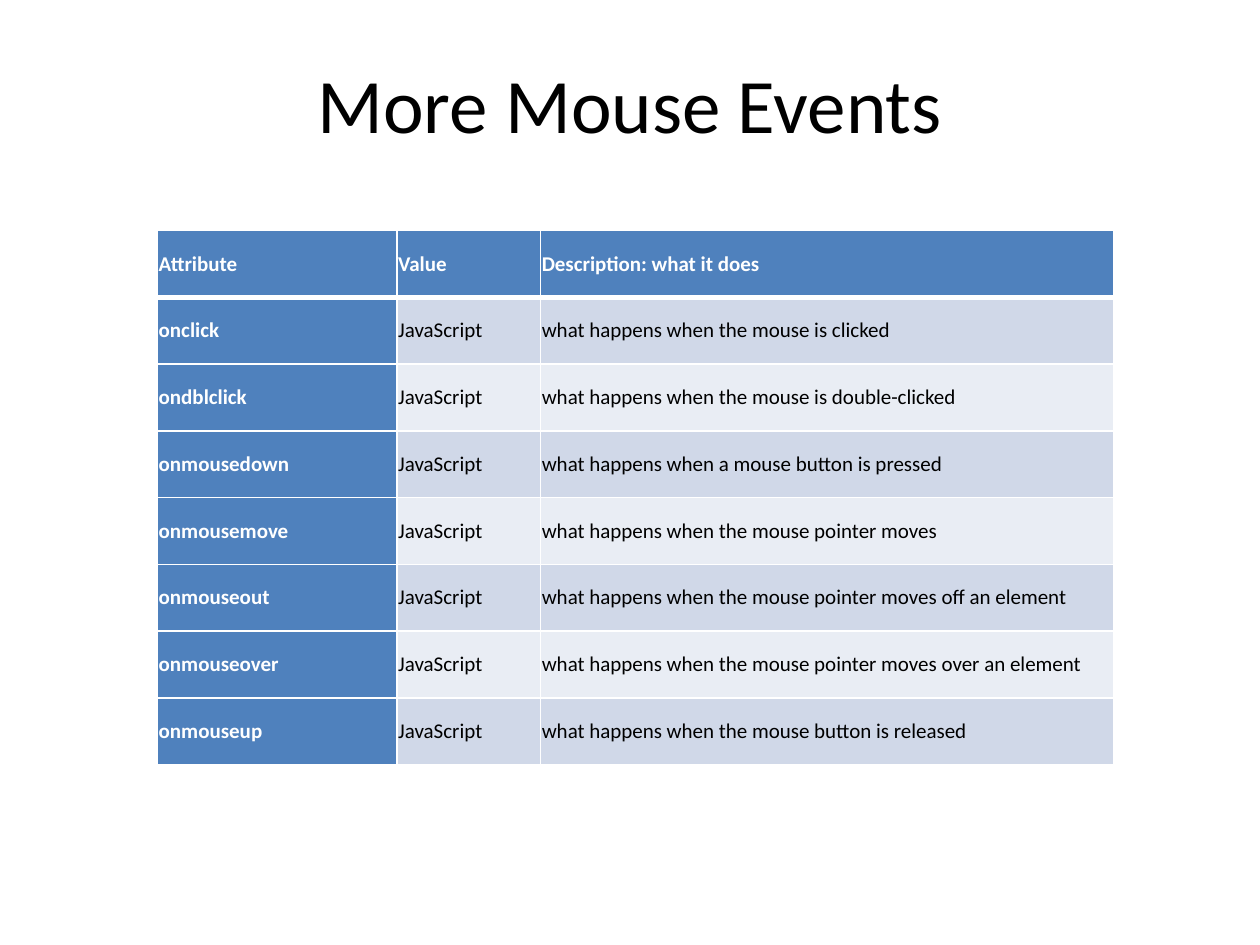
from lxml import etree
from pptx import Presentation
from pptx.dml.color import RGBColor
from pptx.enum import text
from pptx.oxml import ns
from pptx.util import Inches, Pt

FONT = "Calibri"
BLUE, WHITE, BLACK = "4F81BD", "FFFFFF", "000000"
BANDS = ["D0D8E8", "E9EDF4"]
COL_WIDTHS = [1.9, 1.14, 4.55]
ROW_HEIGHT = 0.53
HEADER = ["Attribute", "Value", "Description: what it does"]
EVENTS = [
    ("onclick", "the mouse is clicked"),
    ("ondblclick", "the mouse is double-clicked"),
    ("onmousedown", "a mouse button is pressed"),
    ("onmousemove", "the mouse pointer moves"),
    ("onmouseout", "the mouse pointer moves off an element"),
    ("onmouseover", "the mouse pointer moves over an element"),
    ("onmouseup", "the mouse button is released"),
]


def rgb(color):
    return RGBColor.from_string(color)


def set_font(p, size, color, bold=False):
    p.font.name = FONT
    p.font.size = Pt(size)
    p.font.bold = bold
    p.font.color.rgb = rgb(color)


def add_title(s, title):
    sp = s.shapes.title
    sp.left, sp.top, sp.width, sp.height = map(Inches, (0.5, 0.3, 9, 1.03))
    tf = sp.text_frame
    tf.text = title
    tf.vertical_anchor = text.MSO_ANCHOR.MIDDLE
    p = tf.paragraphs[0]
    p.alignment = text.PP_ALIGN.CENTER
    set_font(p, 44, BLACK)


def set_borders(cell, top, bottom):
    """Draw white borders; call before filling, as the schema puts lines first."""
    tc_pr = cell._tc.get_or_add_tcPr()
    for side, width in (("L", 1), ("R", 1), ("T", top), ("B", bottom)):
        ln = etree.SubElement(tc_pr, ns.qn(f"a:ln{side}"), w=str(Pt(width)))
        fill = etree.SubElement(ln, ns.qn("a:solidFill"))
        etree.SubElement(fill, ns.qn("a:srgbClr"), val=WHITE)


def format_cell(cell, row, col):
    is_heading = row == 0 or col == 0
    set_borders(cell, top=3 if row == 1 else 1, bottom=3 if row == 0 else 1)
    cell.fill.solid()
    cell.fill.fore_color.rgb = rgb(BLUE if is_heading else BANDS[(row - 1) % 2])
    cell.vertical_anchor = text.MSO_ANCHOR.MIDDLE
    cell.margin_left = cell.margin_right = Inches(0.01)
    cell.margin_top = cell.margin_bottom = Inches(0.01)
    set_font(cell.text_frame.paragraphs[0], 12,
             WHITE if is_heading else BLACK, is_heading)


def add_events_table(s, rows):
    frame = s.shapes.add_table(
        len(rows), len(COL_WIDTHS), Inches(1.25), Inches(1.83),
        Inches(sum(COL_WIDTHS)), Inches(ROW_HEIGHT * len(rows)))
    table = frame.table
    table.first_col = True
    for column, width in zip(table.columns, COL_WIDTHS):
        column.width = Inches(width)
    for i, values in enumerate(rows):
        table.rows[i].height = Inches(ROW_HEIGHT)
        for j, value in enumerate(values):
            cell = table.cell(i, j)
            cell.text = value
            format_cell(cell, i, j)


def main():
    prs = Presentation()
    prs.slide_width, prs.slide_height = Inches(10), Inches(7.5)
    s = prs.slides.add_slide(prs.slide_layouts[5])
    add_title(s, "More Mouse Events")
    events = [(name, "JavaScript", f"what happens when {trigger}")
              for name, trigger in EVENTS]
    add_events_table(s, [HEADER] + events)
    prs.save("out.pptx")


if __name__ == "__main__":
    main()
